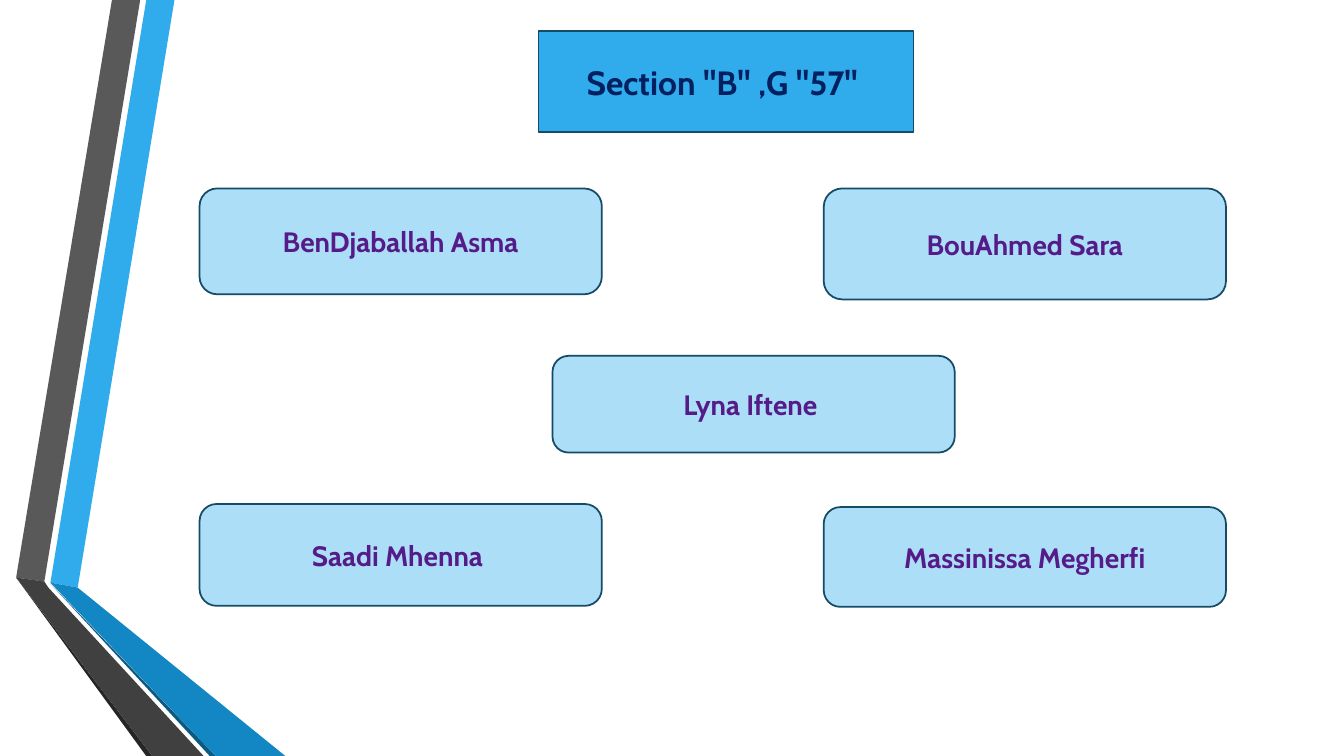
from dataclasses import dataclass, field

from lxml import etree
from pptx import Presentation
from pptx import util as u
from pptx.dml.color import RGBColor
from pptx.enum import shapes, text
from pptx.oxml.ns import qn

WIDTH, HEIGHT = u.Inches(13.33), u.Inches(7.5)


@dataclass(frozen=True)
class Theme:
    font: str = "Cabin"
    title_size: int = 24
    name_size: int = 20
    outline_width: float = 1.25
    outline: str = "154B67"
    title_fill: str = "30ACEC"
    title_text: str = "002060"
    name_fill: str = "ACDEF7"
    name_text: str = "541B89"
    blue: tuple = ("30ACEC", "1287C3", "0C5A82")
    gray: tuple = ("595959", "404040", "262626")


THEME = Theme()


@dataclass(frozen=True)
class Card:
    """A rounded box; lengths are percentages of the slide's size."""
    label: str
    left: float
    top: float
    height: float
    width: float = 29.93
    fill: str = THEME.name_fill
    color: str = THEME.name_text
    size: int = THEME.name_size


@dataclass(frozen=True)
class Ribbon:
    """A filled outline; points are percentages of the slide's size."""
    fill: str
    points: list = field(default_factory=list)


LEFT, MIDDLE, RIGHT = 14.85, 41.11, 61.29

TITLE = Card('Section "B" ,G "57" ', 40.06, 4.13, 13.33, 27.91,
             THEME.title_fill, THEME.title_text, THEME.title_size)

NAMES = [
    Card("BenDjaballah Asma", LEFT, 24.93, 14),
    Card("BouAhmed Sara", RIGHT, 24.93, 14.67),
    Card("Saadi Mhenna ", LEFT, 66.67, 13.47),
    Card("Massinissa Megherfi", RIGHT, 67.07, 13.2),
    Card("Lyna Iftene ", MIDDLE, 47.07, 12.8),
]

RIBBONS = [
    Ribbon(THEME.blue[0], [(3.75, 77.07), (5.78, 77.73), (12.98, 0), (10.88, 0)]),
    Ribbon(THEME.gray[0], [(10.43, 0), (8.33, 0), (1.2, 76.4), (3.3, 76.93)]),
    Ribbon(THEME.gray[2], [(1.2, 76.4), (10.88, 100), (11.33, 100)]),
    Ribbon(THEME.blue[2], [(3.75, 77.2), (15.6, 100), (16.05, 100)]),
    Ribbon(THEME.blue[1], [(3.75, 77.07), (16.05, 100), (21.23, 100), (5.78, 77.73)]),
    Ribbon(THEME.gray[1], [(15.15, 100), (3.6, 77.73), (3.3, 76.93), (1.2, 76.4),
                           (11.33, 100)]),
]


def across(share: float) -> int:
    return round(WIDTH * share / 100)


def down(share: float) -> int:
    return round(HEIGHT * share / 100)


def apply(target, values: dict) -> None:
    for name, value in values.items():
        setattr(target, name, value)


def paint(shape, color: str) -> None:
    shape.fill.solid()
    shape.fill.fore_color.rgb = RGBColor.from_string(color)


def draw_ribbon(group, ribbon: Ribbon) -> None:
    start, *rest = [(across(x), down(y)) for x, y in ribbon.points]
    builder = group.shapes.build_freeform(*start)
    builder.add_line_segments(rest, close=True)
    shape = builder.convert_to_shape()
    shape.shadow.inherit = False
    paint(shape, ribbon.fill)
    shape.line.fill.background()


def format_card(box, card: Card) -> None:
    paint(box, card.fill)
    box.line.color.rgb = RGBColor.from_string(THEME.outline)
    box.line.width = u.Pt(THEME.outline_width)
    frame = box.text_frame
    apply(frame, {"word_wrap": True, "auto_size": text.MSO_AUTO_SIZE.NONE,
                  "vertical_anchor": text.MSO_ANCHOR.MIDDLE})
    para = frame.paragraphs[0]
    para.alignment = text.PP_ALIGN.CENTER
    span = para.add_run()
    span.text = card.label
    apply(span.font, {"name": THEME.font, "size": u.Pt(card.size), "bold": True})
    span.font.color.rgb = RGBColor.from_string(card.color)


def card_frame(card: Card) -> dict:
    return {"left": across(card.left), "top": down(card.top),
            "width": across(card.width), "height": down(card.height)}


def draw_name(page, card: Card) -> None:
    box = page.shapes.add_shape(shapes.MSO_SHAPE.ROUNDED_RECTANGLE,
                                *card_frame(card).values())
    box.shadow.inherit = False
    format_card(box, card)


def draw_title(page, card: Card) -> None:
    box = page.shapes.title
    apply(box, card_frame(card))
    # Give the title placeholder rounded corners
    outline = etree.SubElement(box.element.spPr, qn("a:prstGeom"), prst="roundRect")
    etree.SubElement(outline, qn("a:avLst"))
    format_card(box, card)


def main() -> None:
    deck = Presentation()
    apply(deck, {"slide_width": WIDTH, "slide_height": HEIGHT})
    page = deck.slides.add_slide(deck.slide_layouts.get_by_name("Title Only"))

    # Folded ribbons on the left edge
    group = page.shapes.add_group_shape()
    for ribbon in RIBBONS:
        draw_ribbon(group, ribbon)

    # Section title and member names
    draw_title(page, TITLE)
    for card in NAMES:
        draw_name(page, card)

    deck.save("out.pptx")


if __name__ == "__main__":
    main()
